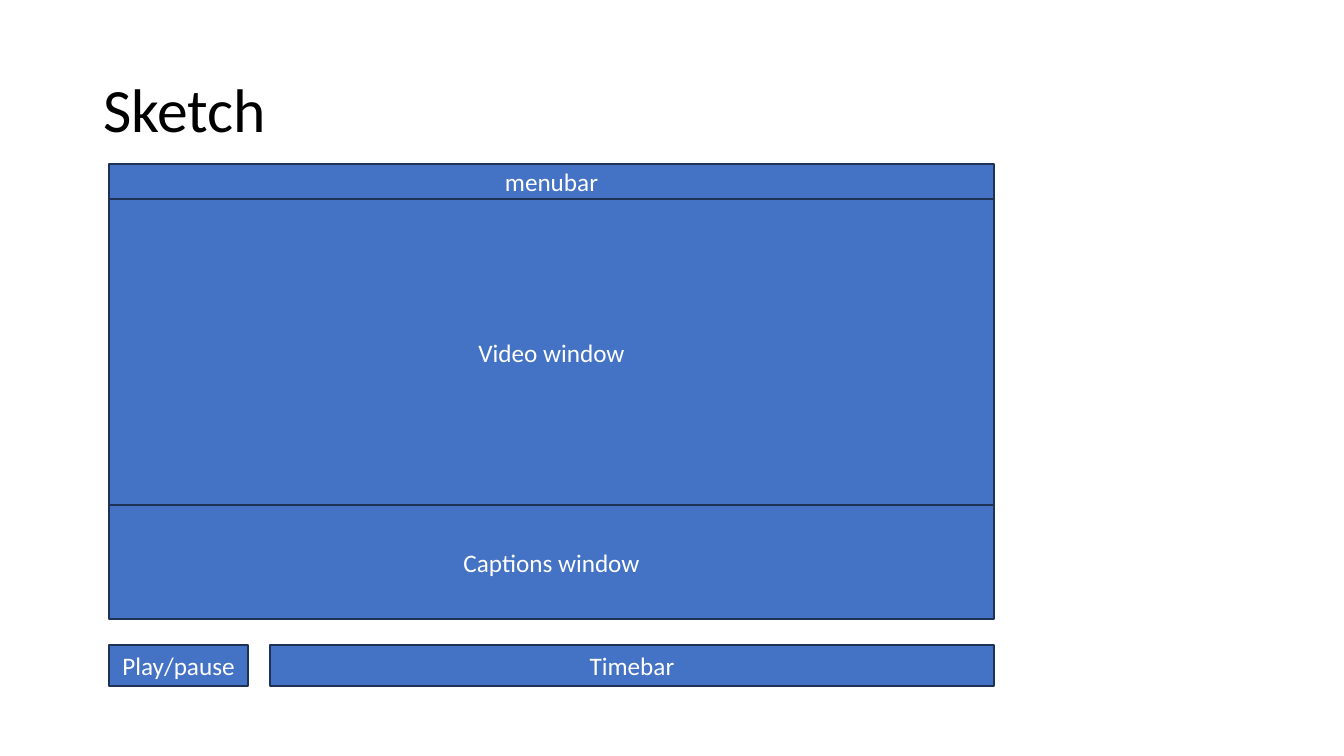
import pptx
import pptx.util
import pptx.dml.color
import pptx.enum.shapes
import pptx.enum.text
from dataclasses import dataclass

# Content: stacked panels (label, height), then controls (label, width)
TITLE = "Sketch"
PANELS = [("menubar", 35), ("Video window", 306), ("Captions window", 114)]
CONTROLS = [("Play/pause", 139), ("Timebar", 724)]

# Layout in px
SLIDE = (1344, 756)
TITLE_BOX = (93, 40, 1159, 146)
LEFT, TOP, WIDTH = 109, 164, 885
ROW_GAP, ROW_H = 26, 41


@dataclass(frozen=True)
class Theme:
    font: str = "Calibri"
    fill: str = "4472C4"
    edge: str = "1E3256"
    light: str = "FFFFFF"
    dark: str = "000000"
    head: int = 44
    body: int = 18


THEME = Theme()
ALIGN = pptx.enum.text.PP_ALIGN


def px(n):
    return pptx.util.Emu(round(n * 914400 / 100.8))


def color(code):
    return pptx.dml.color.RGBColor.from_string(code)


def write(shape, text, size=THEME.body, ink=THEME.light, align=ALIGN.CENTER,
          spacing=1.0):
    frame = shape.text_frame
    frame.word_wrap = True
    frame.auto_size = pptx.enum.text.MSO_AUTO_SIZE.NONE
    frame.vertical_anchor = pptx.enum.text.MSO_ANCHOR.MIDDLE
    para = frame.paragraphs[0]
    para.alignment = align
    para.line_spacing = spacing
    run = para.add_run()
    run.text = text
    run.font.name = THEME.font
    run.font.size = pptx.util.Pt(size)
    run.font.color.rgb = color(ink)


def panel(group, text, *box):
    rect = pptx.enum.shapes.MSO_SHAPE.RECTANGLE
    shape = group.shapes.add_shape(rect, *map(px, box))
    shape.shadow.inherit = False
    shape.fill.solid()
    shape.fill.fore_color.rgb = color(THEME.fill)
    shape.line.color.rgb = color(THEME.edge)
    shape.line.width = pptx.util.Pt(1)
    write(shape, text)


def main():
    deck = pptx.Presentation()
    deck.slide_width, deck.slide_height = map(px, SLIDE)
    slide = deck.slides.add_slide(deck.slide_layouts[5])

    # Title
    title = slide.shapes.title
    title.left, title.top, title.width, title.height = map(px, TITLE_BOX)
    write(title, TITLE, size=THEME.head, ink=THEME.dark, align=ALIGN.LEFT,
          spacing=0.9)

    # Stacked panels
    player = slide.shapes.add_group_shape()
    y = TOP
    for label, height in PANELS:
        panel(player, label, LEFT, y, WIDTH, height)
        y += height

    # Control row, spread over the panel width
    y += ROW_GAP
    gap = (WIDTH - sum(w for _, w in CONTROLS)) / (len(CONTROLS) - 1)
    x = LEFT
    for label, width in CONTROLS:
        panel(player, label, x, y, width, ROW_H)
        x += width + gap

    deck.save("out.pptx")


if __name__ == "__main__":
    main()
